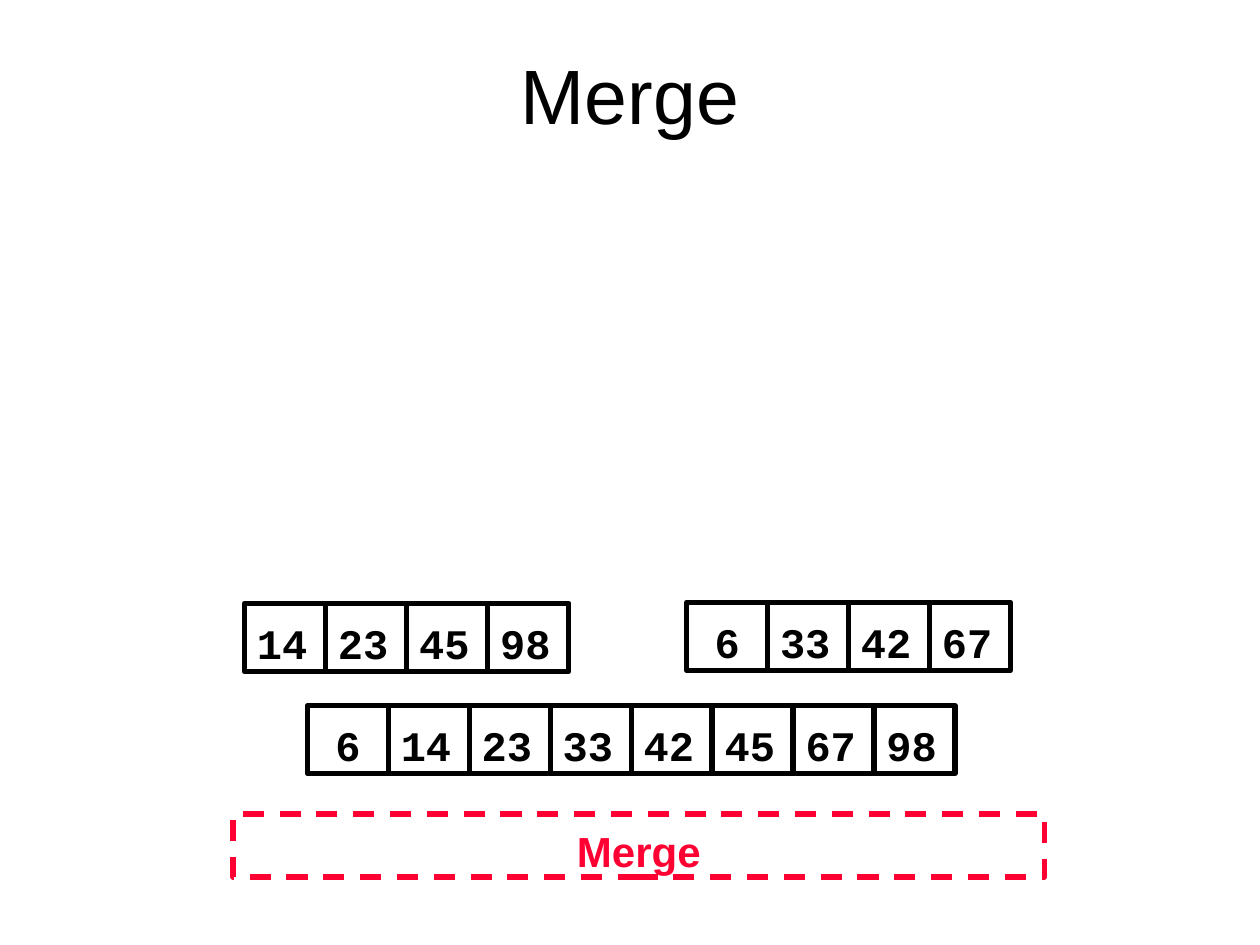
import pptx
import pptx.util
import pptx.dml.color
import pptx.enum.dml
import pptx.enum.shapes
import pptx.enum.text

BLACK = pptx.dml.color.RGBColor(0, 0, 0)
RED = pptx.dml.color.RGBColor(255, 0, 51)
ALIGN = pptx.enum.text.PP_ALIGN
RECT = pptx.enum.shapes.MSO_SHAPE.RECTANGLE
DASH = pptx.enum.dml.MSO_LINE.DASH

deck = pptx.Presentation()
deck.slide_width = pptx.util.Inches(10)
deck.slide_height = pptx.util.Inches(7.5)
slide = deck.slides.add_slide(deck.slide_layouts[6])


def place(box):
    """Turn left, top, width, height in percent of the slide into lengths."""
    sides = (deck.slide_width, deck.slide_height) * 2
    return [round(side * part / 100) for side, part in zip(sides, box)]


def write(shape, text, size=24, font="Arial", color=BLACK, bold=True,
          align=ALIGN.CENTER, top=0.11):
    frame = shape.text_frame
    frame.word_wrap = True
    frame.vertical_anchor = pptx.enum.text.MSO_ANCHOR.TOP
    frame.margin_top = pptx.util.Inches(top)
    line = frame.paragraphs[0]
    line.alignment = align
    run = line.add_run()
    run.text = text
    run.font.size = pptx.util.Pt(size)
    run.font.name = font
    run.font.bold = bold
    run.font.color.rgb = color


def frame_box(box, color=BLACK, dash=None):
    shape = slide.shapes.add_shape(RECT, *place(box))
    shape.shadow.inherit = False
    shape.fill.background()
    shape.line.color.rgb = color
    shape.line.width = pptx.util.Pt(3)
    if dash:
        shape.line.dash_style = dash
    return shape


def title(box, text):
    write(slide.shapes.add_textbox(*place(box)), text, size=44, bold=False)


def array(box, values):
    """Split the box into one equal cell per value."""
    left, top, width, height = box
    step = width / len(values)
    for i, value in enumerate(values):
        cell = frame_box((left + i * step, top, step, height))
        align = ALIGN.CENTER if value < 10 else ALIGN.LEFT
        write(cell, str(value), font="Courier New", align=align)


def label(box, text):
    write(frame_box(box, RED, DASH), text, color=RED, top=0.09)


# Step name, the two sorted halves, the merged array, and the title
first = [14, 23, 45, 98]
second = [6, 33, 42, 67]
label((18.5, 86.13, 64.4, 6.67), "Merge")
array((19.4, 63.87, 25.75, 7.2), first)
array((54.5, 63.73, 25.7, 7.2), second)
array((24.4, 74.67, 51.4, 7.2), sorted(first + second))
title((5, 3.6, 90, 18.27), "Merge")

deck.save("out.pptx")
